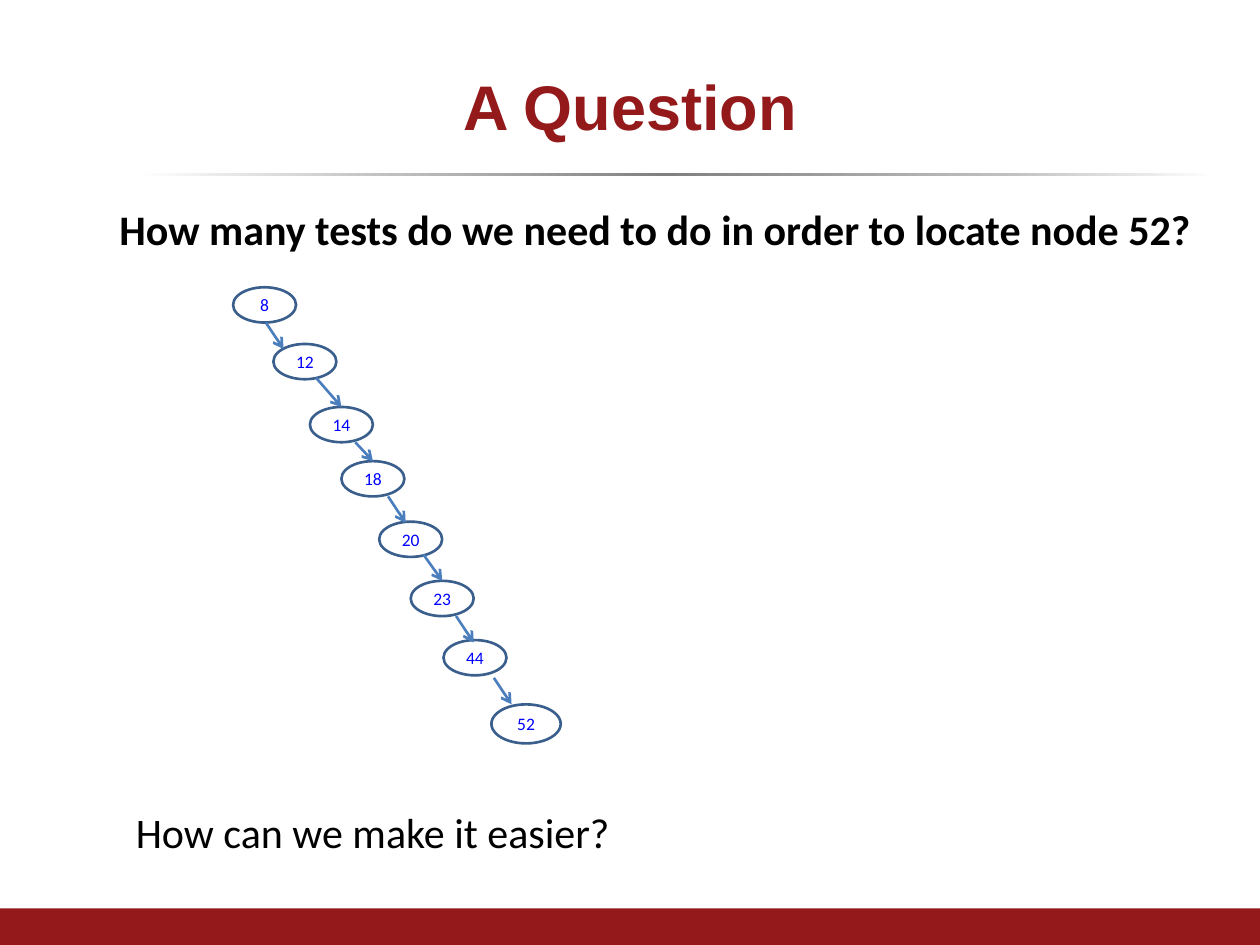
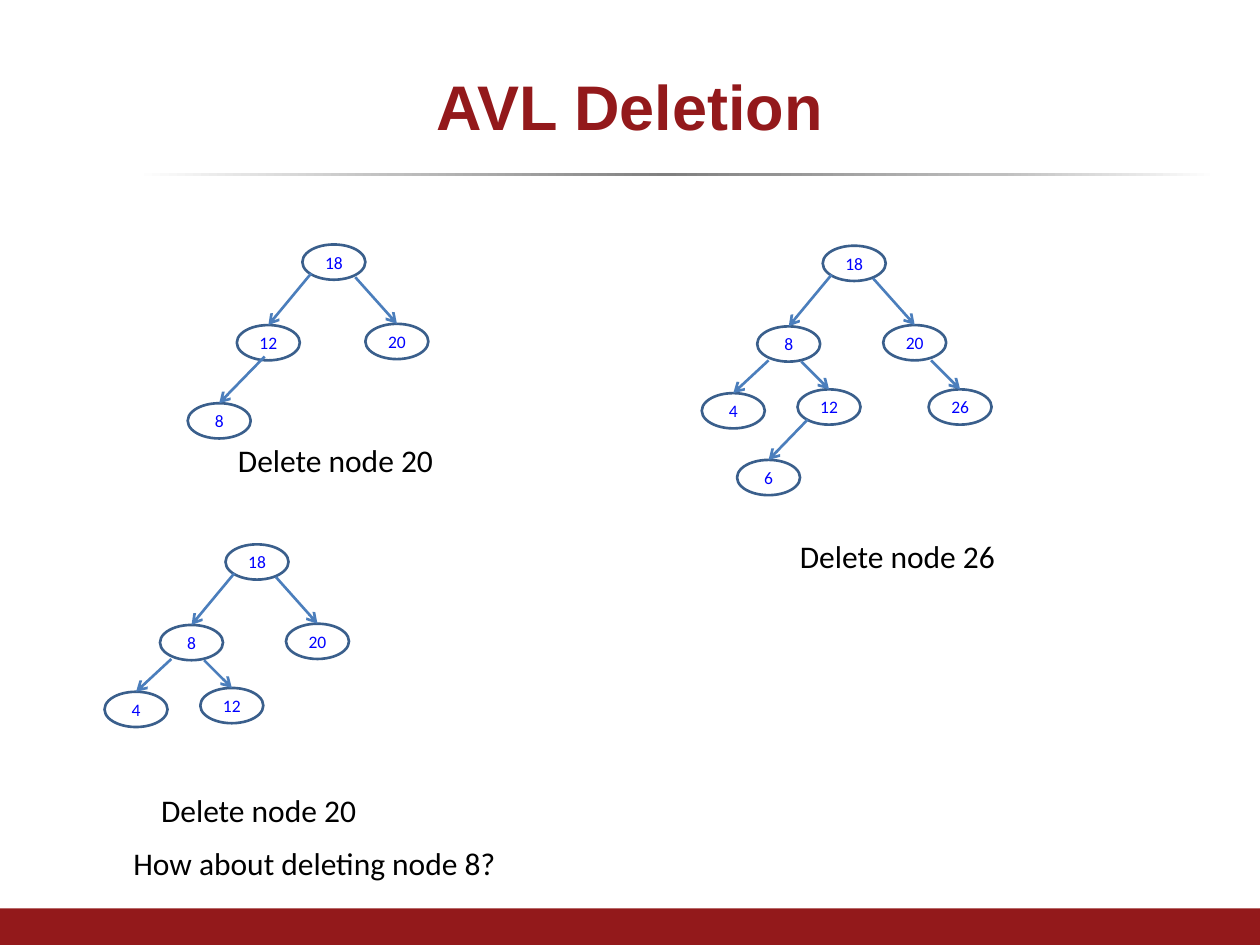
from lxml import etree
from pptx import Presentation
from pptx.dml.color import RGBColor
from pptx.enum.shapes import MSO_CONNECTOR, MSO_SHAPE
from pptx.enum.text import MSO_ANCHOR, PP_ALIGN
from pptx.oxml.ns import qn
from pptx.util import Inches, Pt

OVAL, RECT, STRAIGHT = MSO_SHAPE.OVAL, MSO_SHAPE.RECTANGLE, MSO_CONNECTOR.STRAIGHT
CENTER, LEFT = PP_ALIGN.CENTER, PP_ALIGN.LEFT
MIDDLE, TOP = MSO_ANCHOR.MIDDLE, MSO_ANCHOR.TOP

# Shared style
RED, BLACK, BLUE = "93191B", "000000", "0000FF"
NODE_LINE, ARROW_LINE = "3A5F8C", "4B7EBC"
RULE_STOPS = [(0, "FFFFFF"), (24, "BFBFBF"), (49, "808080"),
              (80, "BFBFBF"), (100, "FFFFFF")]
NODE_SIZE, LAST_NODE_SIZE = (0.5, 0.28), (0.55, 0.31)

# Nodes: label, left-top from the root, arrow start from the root, and
# an arrow end where it is not the top centre of the node
ROOT = ("18", (0, 0), None)
SMALL_TREE = [
    ROOT,
    ("12", (-0.52, 0.64), (0.07, 0.23)),
    ("20", (0.5, 0.63), (0.42, 0.26)),
    ("8", (-0.91, 1.26), (-0.3, 0.89)),
]
MEDIUM_TREE = [
    ROOT,
    ("8", (-0.52, 0.64), (0.07, 0.23)),
    ("20", (0.48, 0.63), (0.4, 0.26)),
    ("4", (-0.96, 1.17), (-0.43, 0.91)),
    ("12", (-0.2, 1.14), (-0.17, 0.92)),
]
LARGE_TREE = MEDIUM_TREE + [
    ("26", (0.84, 1.14), (0.86, 0.91)),
    ("6", (-0.68, 1.7), (-0.12, 1.38)),
]
CHAIN = [
    ("8", (0, 0), None),
    ("12", (0.32, 0.45), (0.26, 0.28), (0.4, 0.49)),
    ("14", (0.61, 0.95), (0.66, 0.72)),
    ("18", (0.86, 1.38), (0.97, 1.23)),
    ("20", (1.16, 1.86), (1.23, 1.66), (1.37, 1.87)),
    ("23", (1.41, 2.33), (1.51, 2.12)),
    ("44", (1.67, 2.8), (1.77, 2.61), (1.91, 2.82)),
    ("52", (2.05, 3.31), (2.07, 3.1), (2.21, 3.31)),
]

# Trees: root position, nodes. Texts: box, words, size, bold
SLIDES = [
    {"title": "A Question",
     "trees": [((1.85, 2.28), CHAIN)],
     "texts": [
         ((0.85, 1.57, 8.74, 0.5),
          "How many tests do we need to do in order to locate node 52?", 24, True),
         ((0.98, 6.35, 7.56, 0.5), "How can we make it easier?", 24, False)]},
    {"title": "AVL Deletion",
     "trees": [((2.4, 1.94), SMALL_TREE),
               ((1.79, 4.32), MEDIUM_TREE),
               ((6.53, 1.95), LARGE_TREE)],
     "texts": [
         ((1.79, 3.45, 2.38, 0.4), "Delete node 20", 18, False),
         ((1.18, 6.23, 2.55, 0.4), "Delete node 20", 18, False),
         ((6.25, 4.21, 2.21, 0.4), "Delete node 26", 18, False),
         ((0.96, 6.65, 3.62, 0.4), "How about deleting node 8?", 18, False)]},
]


def color(value):
    return RGBColor.from_string(value)


def inches(values):
    return [Inches(value) for value in values]


def shift(origin, offset):
    return origin[0] + offset[0], origin[1] + offset[1]


def write(shape, words, size, font, ink, bold=False, align=LEFT, anchor=TOP):
    frame = shape.text_frame
    frame.word_wrap = True
    frame.vertical_anchor = anchor
    para = frame.paragraphs[0]
    para.alignment = align
    span = para.add_run()
    span.text = words
    span.font.size = Pt(size)
    span.font.name = font
    span.font.bold = bold
    span.font.color.rgb = color(ink)
    return frame


def add_plain_shape(page, kind, box):
    shape = page.shapes.add_shape(kind, *inches(box))
    shape.shadow.inherit = False
    return shape


def add_frame(page, title):
    # Fading rule under the title
    rule = add_plain_shape(page, RECT, (1.08, 1.37, 8.58, 0.03))
    rule.line.fill.background()
    rule.fill.gradient()
    rule.fill.gradient_angle = 0
    stops = next(rule.element.iter(qn("a:gsLst")))
    for stop in list(stops):
        stops.remove(stop)
    for position, shade in RULE_STOPS:
        stop = etree.SubElement(stops, qn("a:gs"), pos=str(position * 1000))
        etree.SubElement(stop, qn("a:srgbClr"), val=shade)
    # Footer band
    band = add_plain_shape(page, RECT, (0, 7.21, 10, 0.29))
    band.fill.solid()
    band.fill.fore_color.rgb = color(RED)
    band.line.fill.background()
    # Title
    box = page.shapes.add_textbox(*inches((0.5, 0.3, 9, 1.07)))
    write(box, title, 36, "Arial", RED, True, CENTER, MIDDLE)


def add_node(page, label, place, size):
    node = add_plain_shape(page, OVAL, (*place, *size))
    node.fill.background()
    node.line.color.rgb = color(NODE_LINE)
    node.line.width = Pt(1.5)
    frame = write(node, label, 10, "Calibri", BLUE, align=CENTER, anchor=MIDDLE)
    frame.margin_left = frame.margin_right = 0
    frame.margin_top = frame.margin_bottom = 0


def add_arrow(page, start, end):
    arrow = page.shapes.add_connector(STRAIGHT, *inches((*start, *end)))
    arrow.line.color.rgb = color(ARROW_LINE)
    arrow.line.width = Pt(1.5)
    etree.SubElement(arrow.line._get_or_add_ln(), qn("a:tailEnd"), type="arrow")
    etree.SubElement(arrow.element.spPr, qn("a:effectLst"))


def add_tree(page, origin, nodes):
    for label, offset, start, *end in nodes:
        size = LAST_NODE_SIZE if label == "52" else NODE_SIZE
        add_node(page, label, shift(origin, offset), size)
        if start:
            tip = end[0] if end else shift(offset, (size[0] / 2, 0))
            add_arrow(page, shift(origin, start), shift(origin, tip))


deck = Presentation()
deck.slide_width, deck.slide_height = Inches(10), Inches(7.5)
for content in SLIDES:
    page = deck.slides.add_slide(deck.slide_layouts[6])
    add_frame(page, content["title"])
    for origin, nodes in content["trees"]:
        add_tree(page, origin, nodes)
    for place, words, size, bold in content["texts"]:
        box = page.shapes.add_textbox(*inches(place))
        write(box, words, size, "Calibri", BLACK, bold)
deck.save("out.pptx")
